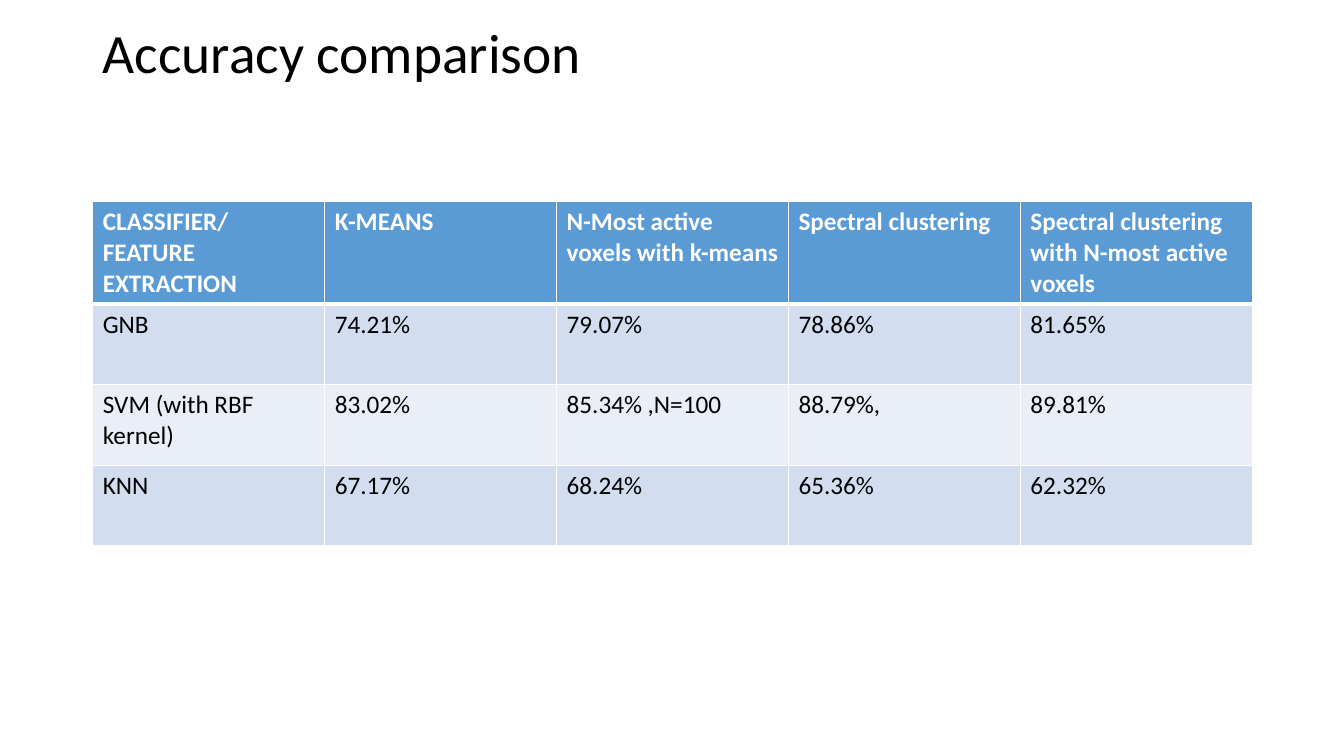
"""Build the accuracy comparison slide with its table of classifiers."""
from lxml import etree
from pptx import Presentation
from pptx.dml.color import RGBColor
from pptx.enum.text import MSO_ANCHOR, PP_ALIGN
from pptx.oxml.ns import qn
from pptx.util import Inches, Pt

MIDDLE = MSO_ANCHOR.MIDDLE
LEFT = PP_ALIGN.LEFT
THEME = {
    "font": "Calibri",
    "title_size": 39.6,
    "table_size": 18,
    "text": "000000",
    "header_text": "FFFFFF",
    "header_fill": "5B9BD5",
    "bands": ["D2DEEF", "EAEFF7"],
    "border": "FFFFFF",
}
ROWS = [
    ["CLASSIFIER/\nFEATURE EXTRACTION", "K-MEANS", "N-Most active voxels with k-means",
     "Spectral clustering", "Spectral clustering with N-most active voxels"],
    ["GNB", "74.21%", "79.07%", "78.86%", "81.65%"],
    ["SVM (with RBF kernel)", "83.02%", "85.34% ,N=100", "88.79%,", "89.81%"],
    ["KNN", "67.17%", "68.24%", "65.36%", "62.32%"],
]


def style_font(font, size, color, bold=False):
    font.name = THEME["font"]
    font.size = Pt(size)
    font.bold = bold
    font.color.rgb = RGBColor.from_string(color)


def add_borders(cell, widths):
    properties = cell._tc.get_or_add_tcPr()
    for position, (side, width) in enumerate(widths.items()):
        line = etree.Element(qn(f"a:ln{side}"), w=str(Pt(width)))
        fill = etree.SubElement(line, qn("a:solidFill"))
        etree.SubElement(fill, qn("a:srgbClr"), val=THEME["border"])
        properties.insert(position, line)


deck = Presentation()
deck.slide_width, deck.slide_height = Inches(13.33), Inches(7.5)
page = deck.slides.add_slide(deck.slide_layouts[5])

title = page.shapes.title
title.left, title.top = Inches(0.92), Inches(0.18)
title.width, title.height = Inches(11.5), Inches(0.74)
title.text_frame.text = "Accuracy comparison"
title.text_frame.vertical_anchor = MIDDLE
heading = title.text_frame.paragraphs[0]
heading.alignment = LEFT
heading.line_spacing = 0.9
style_font(heading.font, THEME["title_size"], THEME["text"])

table = page.shapes.add_table(len(ROWS), len(ROWS[0]), Inches(0.92), Inches(2),
                              Inches(11.5), Inches(3.41)).table
for column in table.columns:
    column.width = Inches(2.3)

for row_index, texts in enumerate(ROWS):
    is_header = row_index == 0
    table.rows[row_index].height = Inches(1.01 if is_header else 0.8)
    fill_color = THEME["header_fill"] if is_header else THEME["bands"][(row_index - 1) % 2]
    text_color = THEME["header_text"] if is_header else THEME["text"]
    widths = {"L": 1, "R": 1, "T": 3 if row_index == 1 else 1, "B": 3 if is_header else 1}
    for column_index, text in enumerate(texts):
        cell = table.cell(row_index, column_index)
        cell.text = text
        cell.fill.solid()
        cell.fill.fore_color.rgb = RGBColor.from_string(fill_color)
        add_borders(cell, widths)
        for para in cell.text_frame.paragraphs:
            style_font(para.font, THEME["table_size"], text_color, is_header)

deck.save("out.pptx")
